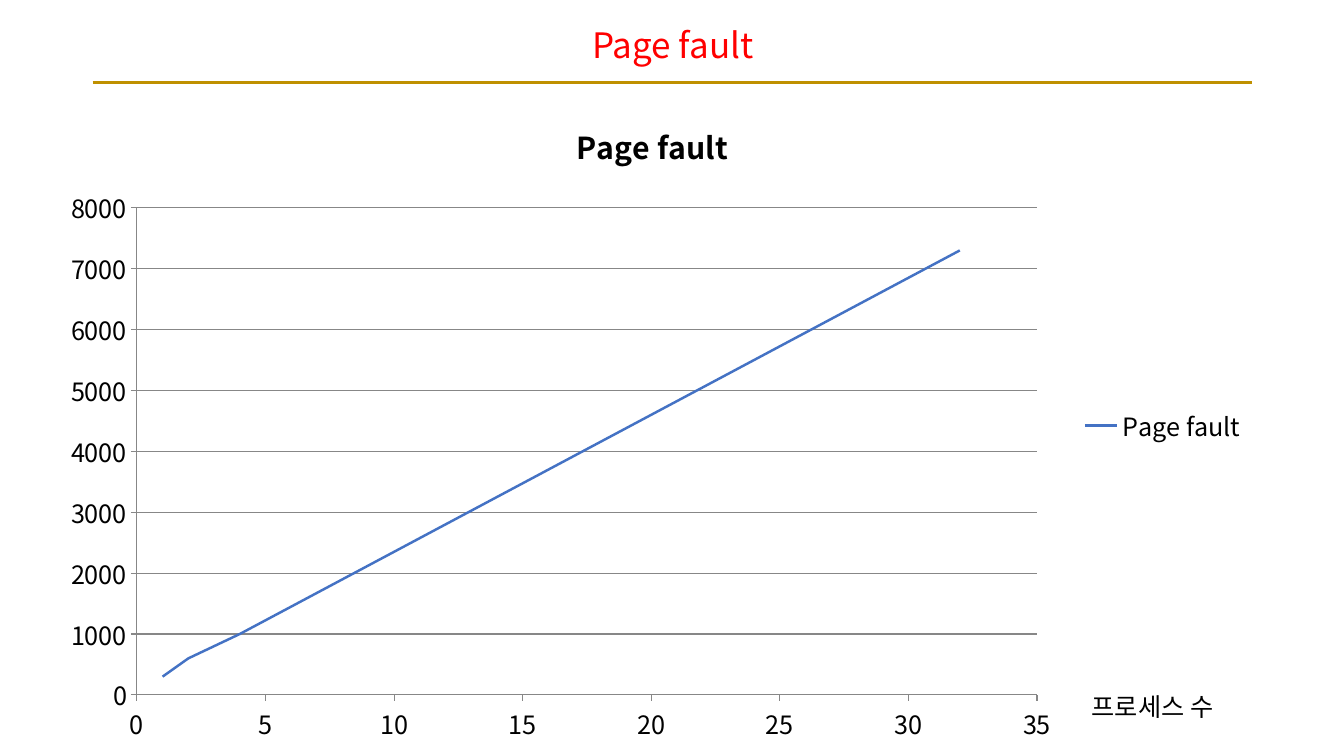
from lxml import etree
from pptx import Presentation
from pptx.chart.data import XyChartData
from pptx.dml.color import RGBColor
from pptx.enum.chart import XL_CHART_TYPE, XL_LEGEND_POSITION, XL_TICK_MARK
from pptx.enum.shapes import MSO_CONNECTOR
from pptx.enum.text import MSO_ANCHOR, PP_ALIGN
from pptx.oxml import parse_xml
from pptx.oxml.ns import nsdecls, qn
from pptx.util import Inches, Pt

SMOOTH = XL_CHART_TYPE.XY_SCATTER_SMOOTH_NO_MARKERS
RIGHT = XL_LEGEND_POSITION.RIGHT
OUT, NONE = XL_TICK_MARK.OUTSIDE, XL_TICK_MARK.NONE
STRAIGHT = MSO_CONNECTOR.STRAIGHT
TOP, MIDDLE = MSO_ANCHOR.TOP, MSO_ANCHOR.MIDDLE
LEFT, CENTER = PP_ALIGN.LEFT, PP_ALIGN.CENTER

FONT = "Noto Sans CJK KR"
COLORS = {"title": "FF0000", "rule": "BF9000", "text": "000000",
          "curve": "4472C4", "grid": "878787"}
NAME = "Page fault"
COUNTS = [1, 2, 4, 8, 16, 32]
FAULTS = [300, 600, 1000, 1900, 3700, 7300]
PLOT = {"x": 0.074, "y": 0.17, "w": 0.744, "h": 0.739}


def color(name):
    return RGBColor.from_string(COLORS[name])


def apply(item, **values):
    for key, value in values.items():
        setattr(item, key, value)


def style(font, size, hue="text", bold=False):
    apply(font, name=FONT, size=Pt(size), bold=bold)
    font.color.rgb = color(hue)


def stroke(line, hue, width):
    line.color.rgb = color(hue)
    line.width = Pt(width)


def add_text(slide, text, box, size, hue="text", align=LEFT, anchor=TOP):
    frame = slide.shapes.add_textbox(*map(Inches, box)).text_frame
    apply(frame, word_wrap=True, vertical_anchor=anchor)
    para = frame.paragraphs[0]
    para.alignment = align
    run = para.add_run()
    run.text = text
    style(run.font, size, hue)
    etree.SubElement(run.font._element, qn("a:ea"), typeface=FONT)


def add_rule(slide, left, right, top):
    rule = slide.shapes.add_connector(
        STRAIGHT, *map(Inches, (left, top, right, top)))
    stroke(rule.line, "rule", 2)
    etree.SubElement(rule._element.spPr, qn("a:effectLst"))


def place_plot(chart):
    """Fix the inner plot area at its shares of the chart frame."""
    modes = '<c:layoutTarget val="inner"/>' + "".join(
        f'<c:{axis}Mode val="edge"/>' for axis in "xy")
    shares = "".join(f'<c:{key} val="{val}"/>' for key, val in PLOT.items())
    area = chart._chartSpace.chart.plotArea
    for old in area.findall(qn("c:layout")):
        area.remove(old)
    area.insert(0, parse_xml(
        f'<c:layout {nsdecls("c")}><c:manualLayout>{modes}{shares}'
        '</c:manualLayout></c:layout>'))


def set_axis(axis, top, step, grid):
    apply(axis, minimum_scale=0, maximum_scale=top, major_unit=step,
          has_major_gridlines=grid, major_tick_mark=OUT, minor_tick_mark=NONE)
    stroke(axis.format.line, "grid", 0.75)
    if grid:
        stroke(axis.major_gridlines.format.line, "grid", 0.75)
    apply(axis.tick_labels, number_format="General",
          number_format_is_linked=False)


def add_graph(slide, box):
    data = XyChartData()
    points = data.add_series(NAME)
    for count, fault in zip(COUNTS, FAULTS):
        points.add_data_point(count, fault)
    chart = slide.shapes.add_chart(SMOOTH, *map(Inches, box), data).chart
    style(chart.font, 18)
    apply(chart, has_title=True, has_legend=True)
    frame = chart.chart_title.text_frame
    frame.text = NAME
    style(frame.paragraphs[0].runs[0].font, 21.6, bold=True)
    apply(chart.legend, position=RIGHT, include_in_layout=False)
    chart.plots[0].vary_by_categories = False
    curve = chart.plots[0].series[0]
    curve.smooth = True
    stroke(curve.format.line, "curve", 1.75)
    set_axis(chart.category_axis, 35, 5, False)
    set_axis(chart.value_axis, 8000, 1000, True)
    place_plot(chart)


def main():
    deck = Presentation()
    apply(deck, slide_width=Inches(13.33), slide_height=Inches(7.5))
    slide = deck.slides.add_slide(deck.slide_layouts[6])
    add_text(slide, NAME, (2.13, 0.21, 9.09, 0.47), 25, "title",
             CENTER, MIDDLE)
    add_rule(slide, 0.92, 12.42, 0.82)
    add_graph(slide, (0.47, 0.95, 12, 6.54))
    add_text(slide, "프로세스 수", (10.73, 6.81, 1.86, 0.7), 18)
    deck.save("out.pptx")


if __name__ == "__main__":
    main()
